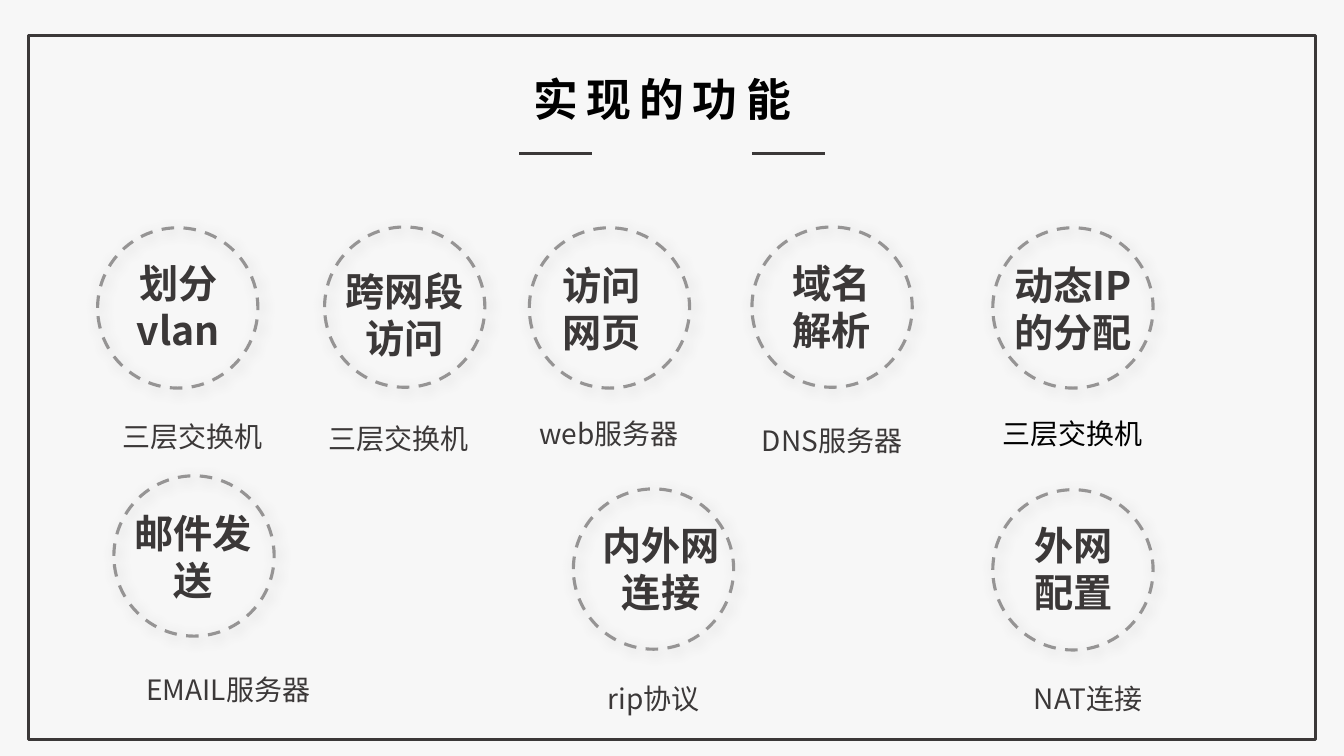
from lxml import etree
from pptx import Presentation
from pptx.dml.color import RGBColor
from pptx.enum.dml import MSO_LINE
from pptx.enum.shapes import MSO_CONNECTOR, MSO_SHAPE as Shape
from pptx.enum.text import MSO_AUTO_SIZE, PP_ALIGN as Align
from pptx.oxml.ns import qn
from pptx.util import Cm, Pt

# Content: lengths in centimetres
FONT = "Noto Sans CJK SC"
DARK, BLACK, PAPER = "3B3838", "000000", "F7F7F7"
CENTER, LEFT = Align.CENTER, Align.LEFT
DIAMETER, NAME_HEIGHT, NOTE_HEIGHT = 4.04, 2.64, 1.12
FRAME = (0.71, 0.89, 32.44, 17.75)
TITLE = ("实现的功能 ", (10.46, 1.68, 12.93, 1.63))
DASH_STARTS, DASH_Y, DASH_LENGTH = (13.08, 18.95), 3.86, 1.83

# circle (x, y), name (lines, x, y, width, align), note (text, x, y, width, align, colour)
FEATURES = [
    ((2.46, 5.74), (["划分vlan"], 2.97, 6.4, 3.05, CENTER),
     ("三层交换机", 2.46, 10.44, 4.8, CENTER, DARK)),
    ((8.18, 5.72), (["跨网段访问"], 8.43, 6.6, 3.53, CENTER),
     ("三层交换机", 7.67, 10.49, 4.75, CENTER, DARK)),
    ((13.34, 5.74), (["访问网页"], 13.92, 6.45, 2.95, LEFT),
     ("web服务器", 13.34, 10.36, 5.46, LEFT, DARK)),
    ((18.95, 5.72), (["域名", "解析"], 19.2, 6.4, 3.53, CENTER),
     ("DNS服务器", 18.95, 10.54, 4.04, CENTER, DARK)),
    ((25.02, 5.74), (["动态IP", "的分配"], 24.69, 6.45, 4.7, CENTER),
     ("三层交换机", 25.02, 10.36, 4.65, LEFT, BLACK)),
    ((2.87, 11.99), (["邮件发送"], 3.1, 12.7, 3.53, CENTER),
     ("EMAIL服务器", 2.87, 16.81, 5.77, CENTER, DARK)),
    ((14.45, 12.32), (["内外网连接"], 14.55, 13, 4.22, CENTER),
     ("rip协议", 14.07, 17.04, 4.8, CENTER, DARK)),
    ((25.02, 12.34), (["外网配置"], 25.53, 13, 3.05, CENTER),
     ("NAT连接", 25.02, 17.04, 4.8, CENTER, DARK)),
]

deck = Presentation()
deck.slide_width, deck.slide_height = Cm(33.87), Cm(19.05)
page = deck.slides.add_slide(deck.slide_layouts[6])


def paint(color_format, hex_color):
    color_format.rgb = RGBColor.from_string(hex_color)


def child(parent, tag, **attributes):
    return etree.SubElement(parent, qn(tag), attributes)


def add_outline(preset, area, width):
    shape = page.shapes.add_shape(preset, *map(Cm, area))
    shape.shadow.inherit = False
    shape.fill.background()
    paint(shape.line.color, DARK)
    shape.line.width = Pt(width)
    return shape


def add_circle(x, y):
    circle = add_outline(Shape.OVAL, (x, y, DIAMETER, DIAMETER), 2.25)
    circle.line.dash_style = MSO_LINE.DASH
    properties = circle._element.spPr
    line_color = properties.find(".//" + qn("a:ln")).find(".//" + qn("a:srgbClr"))
    child(line_color, "a:alpha", val="50000")
    # Soft shadow towards the lower right
    shadow = child(properties.find(qn("a:effectLst")), "a:outerShdw",
                   blurRad=str(Pt(10)), dist=str(Pt(3)), dir="2700000",
                   algn="tl", rotWithShape="0")
    child(child(shadow, "a:srgbClr", val=BLACK), "a:alpha", val="40000")


def add_text(lines, area, size, color=DARK, align=CENTER, bold=False, spacing=0):
    box = page.shapes.add_textbox(*map(Cm, area))
    frame = box.text_frame
    frame.word_wrap = True
    frame.auto_size = MSO_AUTO_SIZE.SHAPE_TO_FIT_TEXT
    for index, line in enumerate(lines):
        para = frame.add_paragraph() if index else frame.paragraphs[0]
        para.alignment = align
        span = para.add_run()
        span.text = line
        span.font.name, span.font.size, span.font.bold = FONT, Pt(size), bold
        paint(span.font.color, color)
        properties = span.font._element
        child(properties, "a:ea", typeface=FONT)
        if spacing:
            properties.set("spc", str(spacing * 100))


# Background, frame and title
page.background.fill.solid()
paint(page.background.fill.fore_color, PAPER)
add_outline(Shape.RECTANGLE, FRAME, 2)
for start in DASH_STARTS:
    dash = page.shapes.add_connector(
        MSO_CONNECTOR.STRAIGHT, Cm(start), Cm(DASH_Y), Cm(start + DASH_LENGTH), Cm(DASH_Y))
    paint(dash.line.color, DARK)
    dash.line.width = Pt(2)
    child(dash._element.spPr, "a:effectLst")
title, title_area = TITLE
add_text([title], title_area, 32, BLACK, bold=True, spacing=6)

# Features: circle, name inside it, note below
for spot, (lines, x, y, width, align), note in FEATURES:
    add_circle(*spot)
    add_text(lines, (x, y, width, NAME_HEIGHT), 28, align=align, bold=True)
    text, x, y, width, align, color = note
    add_text([text], (x, y, width, NOTE_HEIGHT), 20, color, align)

deck.save("out.pptx")
